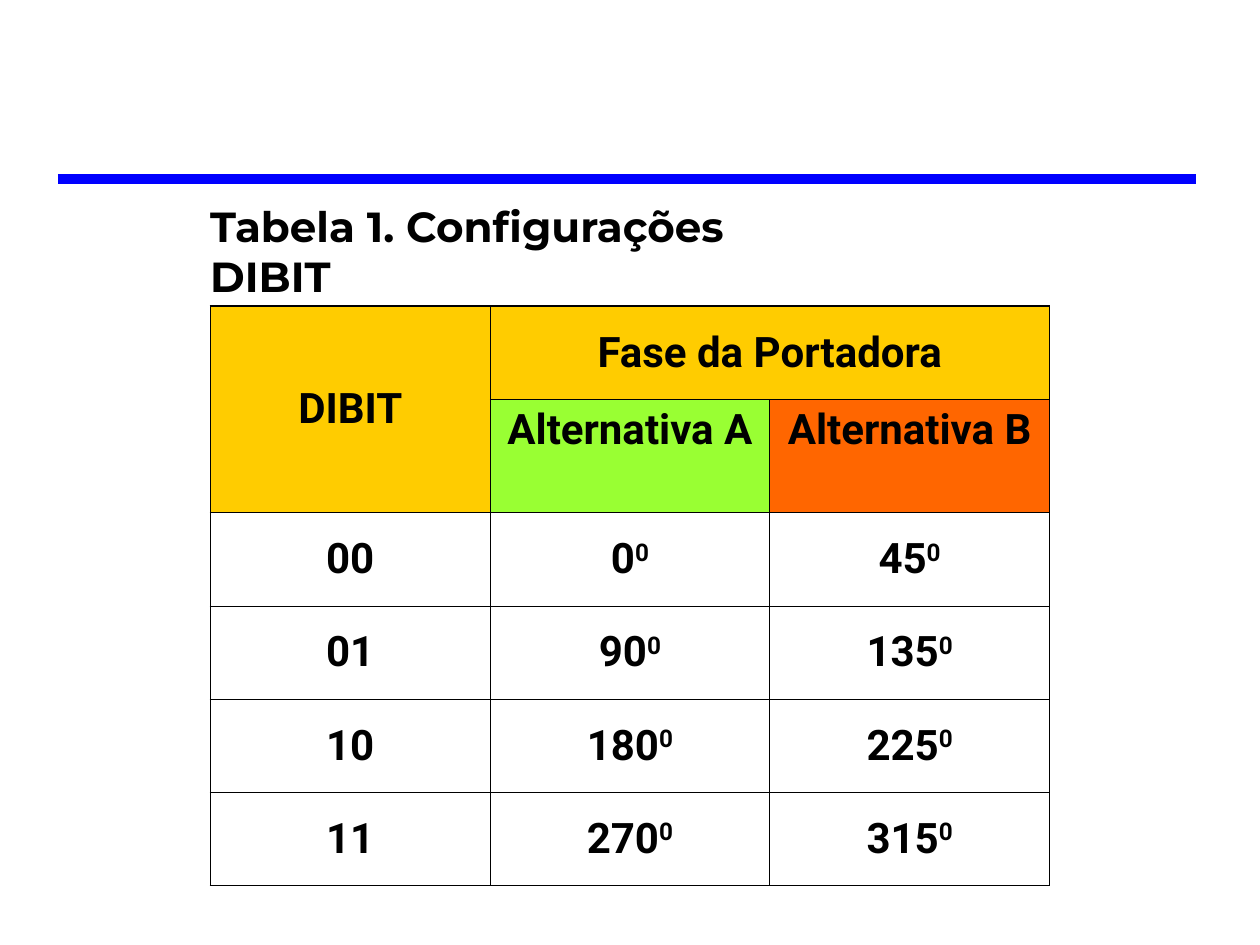
import pptx
import pptx.dml.color
import pptx.enum.shapes
import pptx.enum.text
import pptx.oxml.ns
import pptx.util
from lxml import etree
from pptx.util import Inches

COLORS = {
    "black": "000000",
    "rule": "0000FF",
    "header": "FFCC00",
    "alternative_a": "99FF33",
    "alternative_b": "FF6600",
}
PHASES = [("00", "0", "45"), ("01", "90", "135"), ("10", "180", "225"), ("11", "270", "315")]
COLUMN_WIDTH = 2.22
ROW_HEIGHTS = [0.74, 0.9] + [0.74] * len(PHASES)
OUTER_BORDER, INNER_BORDER = 1.08, 0.45


def rgb(name):
    return pptx.dml.color.RGBColor.from_string(COLORS[name])


def add_run(paragraph, text, font_name, superscript=False):
    run = paragraph.add_run()
    run.text = text
    run.font.name = font_name
    run.font.size = pptx.util.Pt(24)
    run.font.bold = True
    run.font.color.rgb = rgb("black")
    if superscript:
        run.font._element.set("baseline", "30000")


def add_rule(slide):
    rule = slide.shapes.add_connector(
        pptx.enum.shapes.MSO_CONNECTOR.STRAIGHT,
        Inches(0.46), Inches(1.42), Inches(9.49), Inches(1.42))
    rule.line.color.rgb = rgb("rule")
    rule.line.width = pptx.util.Pt(6)
    etree.SubElement(rule._element.spPr, pptx.oxml.ns.qn("a:effectLst"))


def add_caption(slide, text):
    box = slide.shapes.add_textbox(Inches(1.57), Inches(1.54), Inches(5.16), Inches(0.5))
    box.text_frame.word_wrap = True
    add_run(box.text_frame.paragraphs[0], text, "Montserrat")


def set_borders(cell, widths):
    """Draw the cell's borders; widths maps L, R, T, B to points, in that order."""
    properties = cell._tc.get_or_add_tcPr()
    for side, width in widths.items():
        line = etree.SubElement(properties, pptx.oxml.ns.qn(f"a:ln{side}"),
                                w=str(pptx.util.Pt(width)))
        fill = etree.SubElement(line, pptx.oxml.ns.qn("a:solidFill"))
        etree.SubElement(fill, pptx.oxml.ns.qn("a:srgbClr"), val=COLORS["black"])


def add_grid(slide):
    """Add the empty table with a heavier outer border."""
    row_count, column_count = len(ROW_HEIGHTS), len(PHASES[0])
    frame = slide.shapes.add_table(
        row_count, column_count, Inches(1.67), Inches(2.43),
        Inches(COLUMN_WIDTH * column_count), Inches(sum(ROW_HEIGHTS)))
    table = frame.table
    table.first_row = table.horz_banding = False
    for column in table.columns:
        column.width = Inches(COLUMN_WIDTH)
    for row, height in zip(table.rows, ROW_HEIGHTS):
        row.height = Inches(height)
    for row in range(row_count):
        for column in range(column_count):
            cell = table.cell(row, column)
            on_edge = {"L": column == 0, "R": column == column_count - 1,
                       "T": row == 0, "B": row == row_count - 1}
            set_borders(cell, {side: OUTER_BORDER if edge else INNER_BORDER
                               for side, edge in on_edge.items()})
            cell.fill.background()
    return table


def fill_cell(cell, text, color=None, degrees=False, anchor="MIDDLE"):
    cell.vertical_anchor = pptx.enum.text.MSO_ANCHOR[anchor]
    if color:
        cell.fill.solid()
        cell.fill.fore_color.rgb = rgb(color)
    paragraph = cell.text_frame.paragraphs[0]
    paragraph.alignment = pptx.enum.text.PP_ALIGN.CENTER
    add_run(paragraph, text, "Roboto")
    if degrees:
        add_run(paragraph, "0", "Roboto", superscript=True)


def add_phase_table(slide):
    table = add_grid(slide)
    table.cell(0, 0).merge(table.cell(1, 0))
    table.cell(0, 1).merge(table.cell(0, 2))
    fill_cell(table.cell(0, 0), "DIBIT", "header")
    fill_cell(table.cell(0, 1), "Fase da Portadora", "header")
    fill_cell(table.cell(1, 1), "Alternativa A", "alternative_a", anchor="TOP")
    fill_cell(table.cell(1, 2), "Alternativa B", "alternative_b", anchor="TOP")
    for row, values in enumerate(PHASES, start=2):
        for column, value in enumerate(values):
            fill_cell(table.cell(row, column), value, degrees=column > 0)


def main():
    presentation = pptx.Presentation()
    presentation.slide_width = Inches(10)
    presentation.slide_height = Inches(7.5)
    slide = presentation.slides.add_slide(presentation.slide_layouts[6])
    add_rule(slide)
    add_phase_table(slide)
    add_caption(slide, "Tabela 1. Configurações DIBIT")
    presentation.save("out.pptx")


if __name__ == "__main__":
    main()
